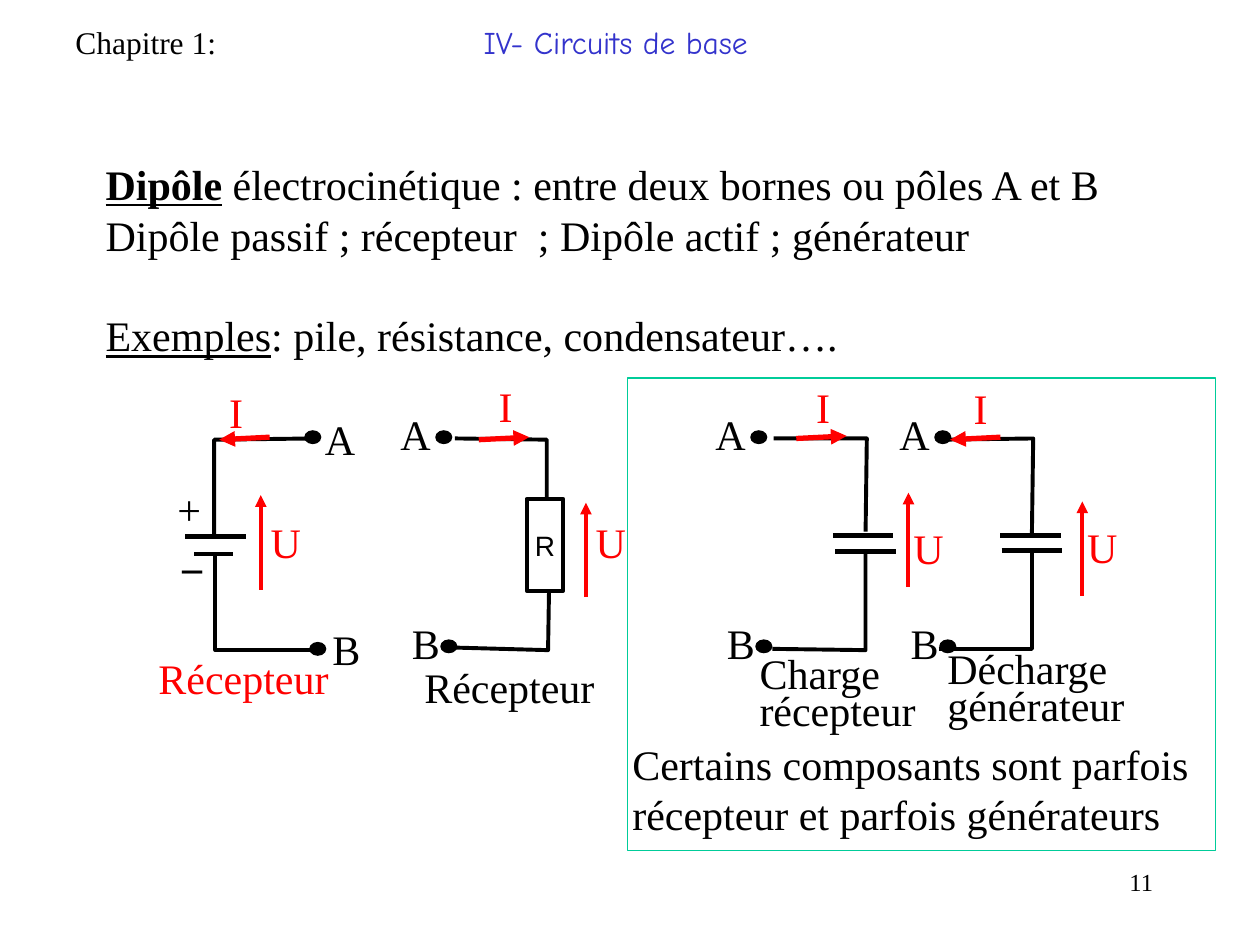
from dataclasses import dataclass
from typing import Optional

from lxml.etree import SubElement
from pptx import Presentation
from pptx.dml.color import RGBColor
from pptx.enum.shapes import MSO_CONNECTOR as LINE, MSO_SHAPE as SHAPE
from pptx.enum.text import MSO_ANCHOR as ANCHOR, PP_ALIGN as ALIGN
from pptx.oxml.ns import qn
from pptx.util import Inches, Pt

COLS, ROWS = 100, 75
WIDTH, HEIGHT = Inches(10), Inches(7.5)
COLORS = {"black": "000000", "red": "FF0000", "blue": "3333CC",
          "green": "00CC99", "white": "FFFFFF"}
SERIF = "Times New Roman"
LINE_H = 4  # rows taken by one line of body text
DOT = (1.25, 1)
CURRENT, VOLTAGE, PLATE = 4, 7.5, 4.8  # lengths of arrows and plates

Point = tuple[float, float]


@dataclass
class Run:
    text: str
    color: str = "black"
    size: float = 24
    name: str = SERIF
    bold: bool = False
    underline: bool = False


@dataclass
class Label:
    at: Point
    width: float
    lines: tuple[str, ...]
    color: str = "black"
    spacing: Optional[float] = None


@dataclass
class Plate:
    at: Point
    length: float = PLATE
    weight: float = 3


@dataclass
class Dipole:
    upper: tuple[Point, ...]
    lower: tuple[Point, ...]
    dots: tuple[Point, Point]
    a: Point
    b: Point
    i: Point
    u: Point
    current: Point  # left end of the current arrow
    leftward: bool
    voltage: Point  # tip of the voltage arrow
    caption: Label
    plates: tuple[Plate, ...] = ()


DIPOLES = [
    Dipole(((17, 42.6), (17, 34.9), (24.7, 34.8)), ((17.1, 43.9), (17.1, 51.6), (24.7, 51.6)),
           ((24.2, 34.2), (24.6, 51)), (24.8, 32.3), (25.4, 49), (17.2, 30.2), (20.5, 40.5),
           (17.4, 34.9), True, (20.7, 39.3),
           Label((11.6, 51.3), 17.6, ("Récepteur",), "red"),
           (Plate((14.7, 42.6)), Plate((15.4, 44), 3.1, 2.25))),
    Dipole(((36.1, 34.8), (43.4, 34.9), (43.4, 41.1)), ((36.2, 51.4), (43.5, 51.6), (43.6, 45.5)),
           ((34.6, 34.2), (35, 50.8)), (30.8, 31.9), (31.7, 48.5), (38.6, 29.7), (46.3, 40.5),
           (38, 34.9), False, (46.5, 39.9),
           Label((32.7, 52), 17.6, ("Récepteur",))),
    Dipole(((61.4, 34.8), (68.8, 34.8), (68.7, 42.2)), ((61.3, 51.5), (68.7, 51.6), (68.7, 43.9)),
           ((59.6, 34.2), (60, 50.8)), (55.8, 31.9), (56.7, 48.5), (63.8, 29.8), (71.5, 41),
           (63.2, 34.8), False, (72.1, 39.1),
           Label((59.3, 51.8), 16, ("Charge", "récepteur"), spacing=0.75),
           (Plate((66.1, 42.5)), Plate((66.3, 43.8)))),
    Dipole(((74.5, 34.9), (82, 34.8), (81.9, 42.3)), ((74.5, 51.5), (81.9, 51.5), (81.9, 43.8)),
           ((74.2, 34.2), (74.6, 50.8)), (70.4, 31.9), (71.3, 48.5), (76.3, 29.9), (85.3, 40.9),
           (75.4, 34.9), True, (85.9, 39.8),
           Label((74.2, 51.4), 18.5, ("Décharge", "générateur"), spacing=0.75),
           (Plate((79.4, 42.5)), Plate((79.5, 43.7)))),
]

prs = Presentation()
prs.slide_width, prs.slide_height = WIDTH, HEIGHT
shapes = prs.slides.add_slide(prs.slide_layouts[6]).shapes


def col(x: float) -> int:
    return round(x * WIDTH / COLS)


def row(y: float) -> int:
    return round(y * HEIGHT / ROWS)


def rgb(color: str) -> RGBColor:
    return RGBColor.from_string(COLORS[color])


def fill_paragraph(p, runs: list[Run]) -> None:
    for run in runs:
        r = p.add_run()
        r.text = run.text
        formats = {"name": run.name, "size": Pt(run.size),
                   "bold": run.bold, "underline": run.underline}
        for key, value in formats.items():
            setattr(r.font, key, value)
        r.font.color.rgb = rgb(run.color)


def add_text(at: Point, size: Point, paragraphs: list[list[Run]]):
    tf = shapes.add_textbox(col(at[0]), row(at[1]), col(size[0]), row(size[1])).text_frame
    tf.word_wrap = True
    for n, runs in enumerate(paragraphs):
        fill_paragraph(tf.add_paragraph() if n else tf.paragraphs[0], runs)
    return tf


def add_label(label: Label) -> None:
    size = (label.width, 1 + LINE_H * len(label.lines) * (label.spacing or 1))
    tf = add_text(label.at, size, [[Run(line, label.color)] for line in label.lines])
    for p in tf.paragraphs:
        p.line_spacing = label.spacing


def add_line(start: Point, end: Point, color: str, weight: float, arrow: bool = False) -> None:
    sp = shapes.add_connector(LINE.STRAIGHT, col(start[0]), row(start[1]), col(end[0]), row(end[1]))
    sp.line.color.rgb, sp.line.width = rgb(color), Pt(weight)
    if arrow:
        SubElement(sp.line._get_or_add_ln(), qn("a:tailEnd"), type="triangle")
    SubElement(sp._element.spPr, qn("a:effectLst"))


def style(sp, fill: Optional[str], line: str, weight: float) -> None:
    sp.shadow.inherit = False
    if fill:
        sp.fill.solid()
        sp.fill.fore_color.rgb = rgb(fill)
    else:
        sp.fill.background()
    sp.line.color.rgb, sp.line.width = rgb(line), Pt(weight)


def add_box(kind: SHAPE, at: Point, size: Point, fill: Optional[str], line: str, weight: float):
    sp = shapes.add_shape(kind, col(at[0]), row(at[1]), col(size[0]), row(size[1]))
    style(sp, fill, line, weight)
    return sp


def add_wire(points: tuple[Point, ...]) -> None:
    start, *rest = [(col(x), row(y)) for x, y in points]
    builder = shapes.build_freeform(*start)
    builder.add_line_segments(rest, close=False)
    style(builder.convert_to_shape(), None, "black", 2.25)


def add_dipole(d: Dipole) -> None:
    for wire in (d.upper, d.lower):
        add_wire(wire)
    for plate in d.plates:
        x, y = plate.at
        add_line(plate.at, (x + plate.length, y), "black", plate.weight)
    for dot in d.dots:
        add_box(SHAPE.OVAL, dot, DOT, "black", "black", 0.75)
    x, y = d.current
    ends = [(x, y), (x + CURRENT, y - 0.2)]
    add_line(*(reversed(ends) if d.leftward else ends), "red", 3, arrow=True)
    x, y = d.voltage
    add_line((x, y + VOLTAGE), (x, y), "red", 2.25, arrow=True)
    for at, name, color in ((d.a, "A", "black"), (d.b, "B", "black"),
                            (d.i, "I", "red"), (d.u, "U", "red")):
        add_label(Label(at, 4.6, (name,), color))
    add_label(d.caption)


header = add_text((5, 1.3), (95, 4), [[
    Run("Chapitre 1:\t", size=18),
    Run("IV- Circuits de base", "blue", 18, "Comic Neue")]])
tabs = SubElement(header.paragraphs[0]._p.get_or_add_pPr(), qn("a:tabLst"))
SubElement(tabs, qn("a:tab"), pos=str(col(32.4)), algn="l")

body = add_text((7.4, 8.1 + LINE_H), (82, 1 + 4 * LINE_H), [
    [Run("Dipôle", bold=True, underline=True),
     Run(" électrocinétique : entre deux bornes ou pôles A et B")],
    [Run("Dipôle passif ; récepteur  ; Dipôle actif ; générateur")],
    [Run("Exemples", underline=True), Run(": pile, résistance, condensateur….")]])
body.paragraphs[2].space_before = Pt(28.8)

for dipole in DIPOLES:
    add_dipole(dipole)

resistor = add_box(SHAPE.RECTANGLE, (41.8, 39.6), (2.9, 7.3), "white", "black", 2.25)
tf = resistor.text_frame
for side in ("left", "right", "top", "bottom"):
    setattr(tf, f"margin_{side}", 0)
tf.vertical_anchor = ANCHOR.MIDDLE
tf.paragraphs[0].alignment = ALIGN.CENTER
fill_paragraph(tf.paragraphs[0], [Run("R", size=16, name="Arial")])

add_label(Label((13.1, 37.9), 4.8, ("+",)))
add_text((13.3, 42.7), (5.6, 5), [[Run("−", name="Arial")]])

add_text((49.2, 58.1), (47.1, 9),
         [[Run("Certains composants sont parfois récepteur et parfois générateurs")]])
add_box(SHAPE.RECTANGLE, (49.8, 30), (46.7, 37.5), None, "green", 0.75)

page = add_text((71.7, 68.3), (20.8, 5), [[Run("11", size=14)]])
page.paragraphs[0].alignment = ALIGN.RIGHT

prs.save("out.pptx")
